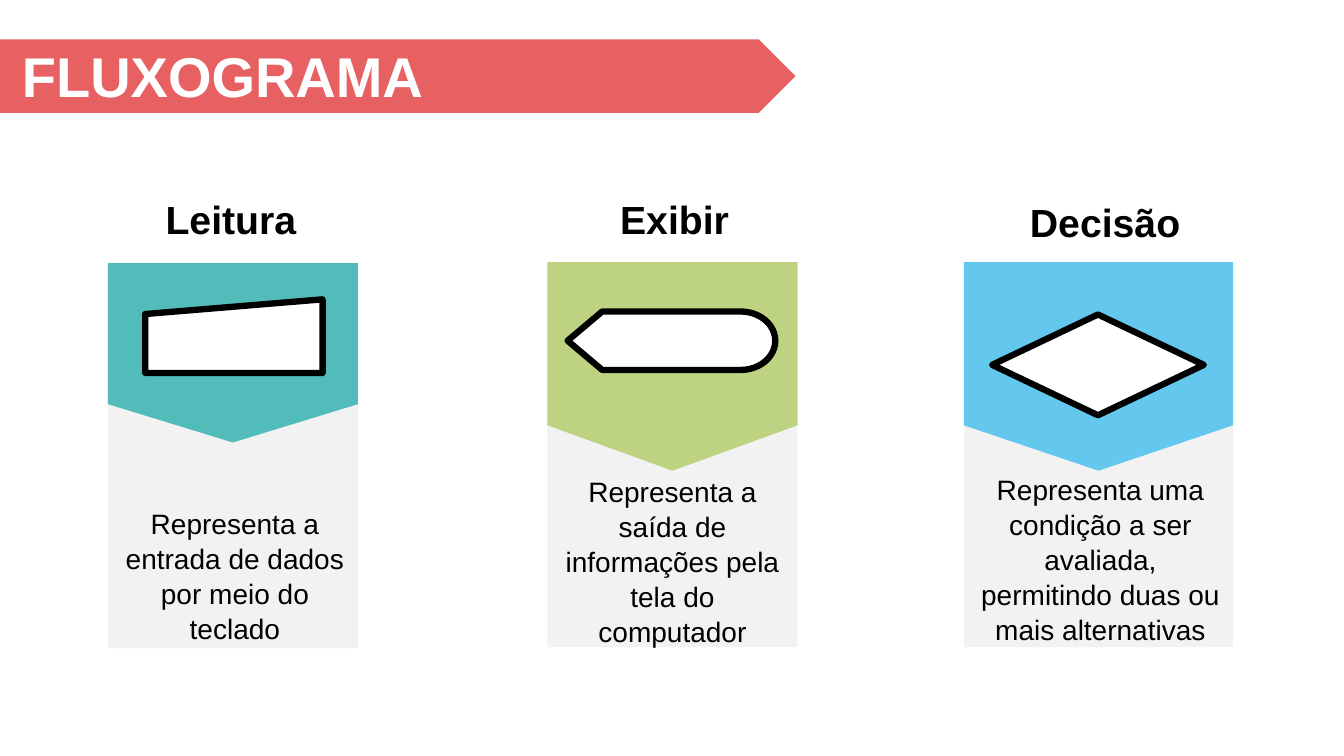
import pptx
import pptx.util
import pptx.dml.color
import pptx.enum.shapes
import pptx.enum.text

Inches = pptx.util.Inches
RGBColor = pptx.dml.color.RGBColor
Shapes = pptx.enum.shapes.MSO_SHAPE

BLACK = RGBColor(0x00, 0x00, 0x00)
WHITE = RGBColor(0xFF, 0xFF, 0xFF)
GREY = RGBColor(0xF2, 0xF2, 0xF2)
RED = RGBColor(0xE8, 0x61, 0x62)
TEAL = RGBColor(0x51, 0xBC, 0xB9)
GREEN = RGBColor(0xBE, 0xD3, 0x81)
BLUE = RGBColor(0x63, 0xC7, 0xEE)

CARD_HEIGHT = 3.82

# Card and symbol: left, top, width, height; flag: side depth, tip depth
CARDS = [
    dict(card=(1.07, 2.61, 2.48), color=TEAL, flag=(1.4, 1.78),
         title="Leitura", title_at=(1.03, 1.89, 2.52, 0.57),
         symbol=Shapes.FLOWCHART_MANUAL_INPUT,
         symbol_at=(1.44, 2.97, 1.76, 0.73),
         body="Representa a entrada de dados por meio do teclado",
         body_at=(1.09, 4.98, 2.48, 1.45)),
    dict(card=(5.43, 2.6, 2.48), color=GREEN, flag=(1.62, 2.07),
         title="Exibir", title_at=(5.43, 1.89, 2.52, 0.57),
         symbol=Shapes.FLOWCHART_DISPLAY,
         symbol_at=(5.63, 3.09, 2.06, 0.58),
         body="Representa a saída de informações pela tela do computador",
         body_at=(5.43, 4.67, 2.48, 1.78)),
    dict(card=(9.56, 2.6, 2.67), color=BLUE, flag=(1.62, 2.07),
         title="Decisão", title_at=(9.7, 1.92, 2.52, 0.57),
         symbol=Shapes.FLOWCHART_DECISION,
         symbol_at=(9.84, 3.12, 2.1, 1),
         body="Representa uma condição a ser avaliada, permitindo duas ou "
              "mais alternativas",
         body_at=(9.58, 4.65, 2.67, 1.78)),
]


def paint(shape, color):
    shape.shadow.inherit = False
    shape.fill.solid()
    shape.fill.fore_color.rgb = color
    shape.line.fill.background()


def add_block(page, kind, place, color):
    shape = page.shapes.add_shape(kind, *map(Inches, place))
    paint(shape, color)
    return shape


def add_symbol(page, kind, place):
    symbol = add_block(page, kind, place, WHITE)
    symbol.line.color.rgb = BLACK
    symbol.line.width = pptx.util.Pt(4.5)


def add_flag(page, left, top, width, side, tip, color):
    points = [(left + width, top), (left + width, top + side),
              (left + width / 2, top + tip), (left, top + side)]
    builder = page.shapes.build_freeform(Inches(left), Inches(top))
    builder.add_line_segments([(Inches(x), Inches(y)) for x, y in points])
    paint(builder.convert_to_shape(), color)


def add_text(page, text, place, size, color=BLACK, bold=False,
             align=pptx.enum.text.PP_ALIGN.CENTER, spacing=None):
    box = page.shapes.add_textbox(*map(Inches, place))
    frame = box.text_frame
    frame.word_wrap = True
    frame.vertical_anchor = pptx.enum.text.MSO_ANCHOR.MIDDLE
    frame.text = text
    para = frame.paragraphs[0]
    para.alignment = align
    para.line_spacing = spacing
    font = para.runs[0].font
    font.name = "Arial"
    font.size = pptx.util.Pt(size)
    font.bold = bold
    font.color.rgb = color


def add_card(page, item):
    left, top, width = item["card"]
    add_block(page, Shapes.RECTANGLE, (left, top, width, CARD_HEIGHT), GREY)
    add_flag(page, left, top, width, *item["flag"], item["color"])
    add_text(page, item["title"], item["title_at"], 28, bold=True)
    add_symbol(page, item["symbol"], item["symbol_at"])
    add_text(page, item["body"], item["body_at"], 20, spacing=1.04)


def main():
    deck = pptx.Presentation()
    deck.slide_width = Inches(13.33)
    deck.slide_height = Inches(7.5)
    page = deck.slides.add_slide(deck.slide_layouts[6])

    # Flowchart symbols
    for item in CARDS:
        add_card(page, item)

    # Title banner
    add_block(page, Shapes.PENTAGON, (0, 0.39, 7.89, 0.73), RED)
    add_text(page, "FLUXOGRAMA", (0.12, 0.51, 6.86, 0.47), 40, WHITE,
             bold=True, align=pptx.enum.text.PP_ALIGN.LEFT)

    deck.save("out.pptx")


if __name__ == "__main__":
    main()
